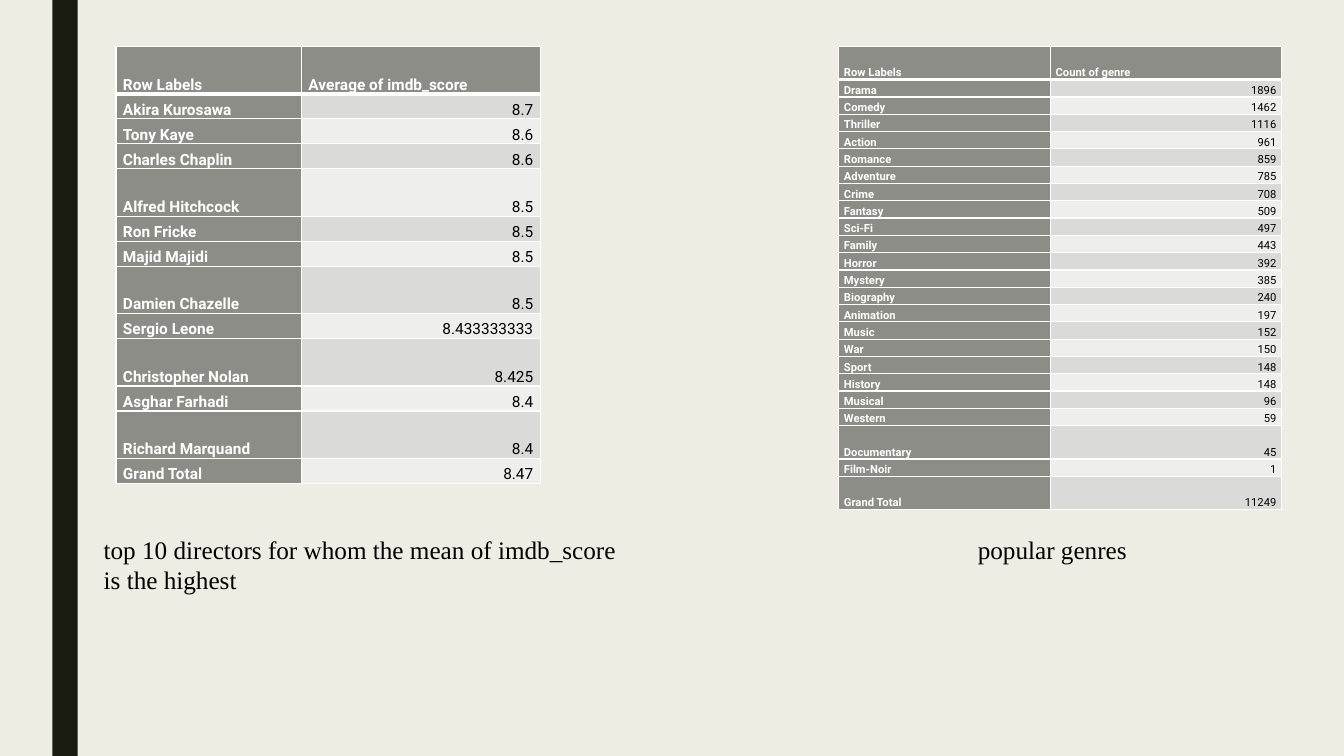
from lxml.etree import SubElement
from pptx import Presentation
from pptx.dml.color import RGBColor
from pptx.enum.shapes import MSO_SHAPE
from pptx.enum.text import MSO_ANCHOR, PP_ALIGN
from pptx.oxml.ns import qn
from pptx.util import Inches, Pt

DIRECTORS = [
    ("Row Labels", "Average of imdb_score"),
    ("Akira Kurosawa", "8.7"), ("Tony Kaye", "8.6"), ("Charles Chaplin", "8.6"),
    ("Alfred Hitchcock", "8.5"), ("Ron Fricke", "8.5"), ("Majid Majidi", "8.5"),
    ("Damien Chazelle", "8.5"), ("Sergio Leone", "8.433333333"),
    ("Christopher Nolan", "8.425"), ("Asghar Farhadi", "8.4"),
    ("Richard Marquand", "8.4"), ("Grand Total", "8.47"),
]
GENRES = [
    ("Row Labels", "Count of genre"),
    ("Drama", "1896"), ("Comedy", "1462"), ("Thriller", "1116"), ("Action", "961"),
    ("Romance", "859"), ("Adventure", "785"), ("Crime", "708"), ("Fantasy", "509"),
    ("Sci-Fi", "497"), ("Family", "443"), ("Horror", "392"), ("Mystery", "385"),
    ("Biography", "240"), ("Animation", "197"), ("Music", "152"), ("War", "150"),
    ("Sport", "148"), ("History", "148"), ("Musical", "96"), ("Western", "59"),
    ("Documentary", "45"), ("Film-Noir", "1"), ("Grand Total", "11249"),
]
# Each table: rows, left, height, column widths, tall rows and their height, size, side inset
TABLES = [
    dict(rows=DIRECTORS, left=1.15, height=4.34, cols=(1.84, 2.37),
         tall_rows=(0, 4, 7, 9, 11), tall=0.47, size=11, inset=0.07),
    dict(rows=GENRES, left=8.32, height=4.6, cols=(2.1, 2.29),
         tall_rows=(0, 21, 23), tall=0.33, size=8, inset=0.05),
]
CAPTIONS = [  # text, left, width, height
    ("top 10 directors for whom the mean of imdb_score is the highest", 0.93, 5.42, 0.71),
    ("popular genres", 9.6, 3.7, 0.4),
]
TABLE_TOP, CAPTION_TOP = 0.46, 5.25
WHITE, BLACK, GREY = "FFFFFF", "000000", "8C8D86"
BANDS = ("EEEEED", "DADBD9")


def rgb(color):
    return RGBColor.from_string(color)


def write(tf, text, size, font, color, bold=False, align=None, line=None, after=None):
    p = tf.paragraphs[0]
    p.alignment, p.line_spacing = align, line
    if after is not None:
        p.space_after = Pt(after)
    r = p.add_run()
    r.text = text
    r.font.size, r.font.name, r.font.bold = Pt(size), font, bold
    r.font.color.rgb = rgb(color)


def set_borders(cell, **widths):
    tcPr = cell._tc.get_or_add_tcPr()
    for i, side in enumerate("LRTB"):
        ln = SubElement(tcPr, qn(f"a:ln{side}"), w=str(Pt(widths.get(side, 1))))
        fill = SubElement(ln, qn("a:solidFill"))
        SubElement(fill, qn("a:srgbClr"), val=WHITE)
        tcPr.insert(i, ln)


def add_data_table(s, rows, left, height, cols, tall_rows, tall, size, inset):
    table = s.shapes.add_table(len(rows), len(cols), Inches(left), Inches(TABLE_TOP),
                               Inches(sum(cols)), Inches(height)).table
    short = (height - tall * len(tall_rows)) / (len(rows) - len(tall_rows))
    for c, width in enumerate(cols):
        table.columns[c].width = Inches(width)
    for r, row in enumerate(rows):
        table.rows[r].height = Inches(tall if r in tall_rows else short)
        for c, text in enumerate(row):
            cell = table.cell(r, c)
            label = r == 0 or c == 0
            cell.fill.solid()
            cell.fill.fore_color.rgb = rgb(GREY if label else BANDS[r % 2])
            cell.vertical_anchor = MSO_ANCHOR.BOTTOM
            cell.margin_left = cell.margin_right = Inches(inset)
            cell.margin_top = cell.margin_bottom = 0
            write(cell.text_frame, text, size, "Roboto", WHITE if label else BLACK,
                  bold=label, align=PP_ALIGN.LEFT if label else PP_ALIGN.RIGHT,
                  line=1.07, after=8)
            # The rule under the header is thicker
            set_borders(cell, B=3 if r == 0 else 1, T=3 if r == 1 else 1)


prs = Presentation()
prs.slide_width, prs.slide_height = Inches(13.33), Inches(7.5)
s = prs.slides.add_slide(prs.slide_layouts[6])
s.background.fill.solid()
s.background.fill.fore_color.rgb = rgb("EFEDE3")

# Side bar
bar = s.shapes.add_shape(MSO_SHAPE.RECTANGLE, Inches(0.52), 0, Inches(0.25), prs.slide_height)
bar.shadow.inherit = False
bar.fill.solid()
bar.fill.fore_color.rgb = rgb("191B0E")
bar.line.fill.background()

# Tables
for spec in TABLES:
    add_data_table(s, **spec)

# Captions
for text, left, width, height in CAPTIONS:
    sp = s.shapes.add_textbox(Inches(left), Inches(CAPTION_TOP), Inches(width), Inches(height))
    sp.text_frame.word_wrap = True
    write(sp.text_frame, text, 18, "Times New Roman", BLACK)

prs.save("out.pptx")
